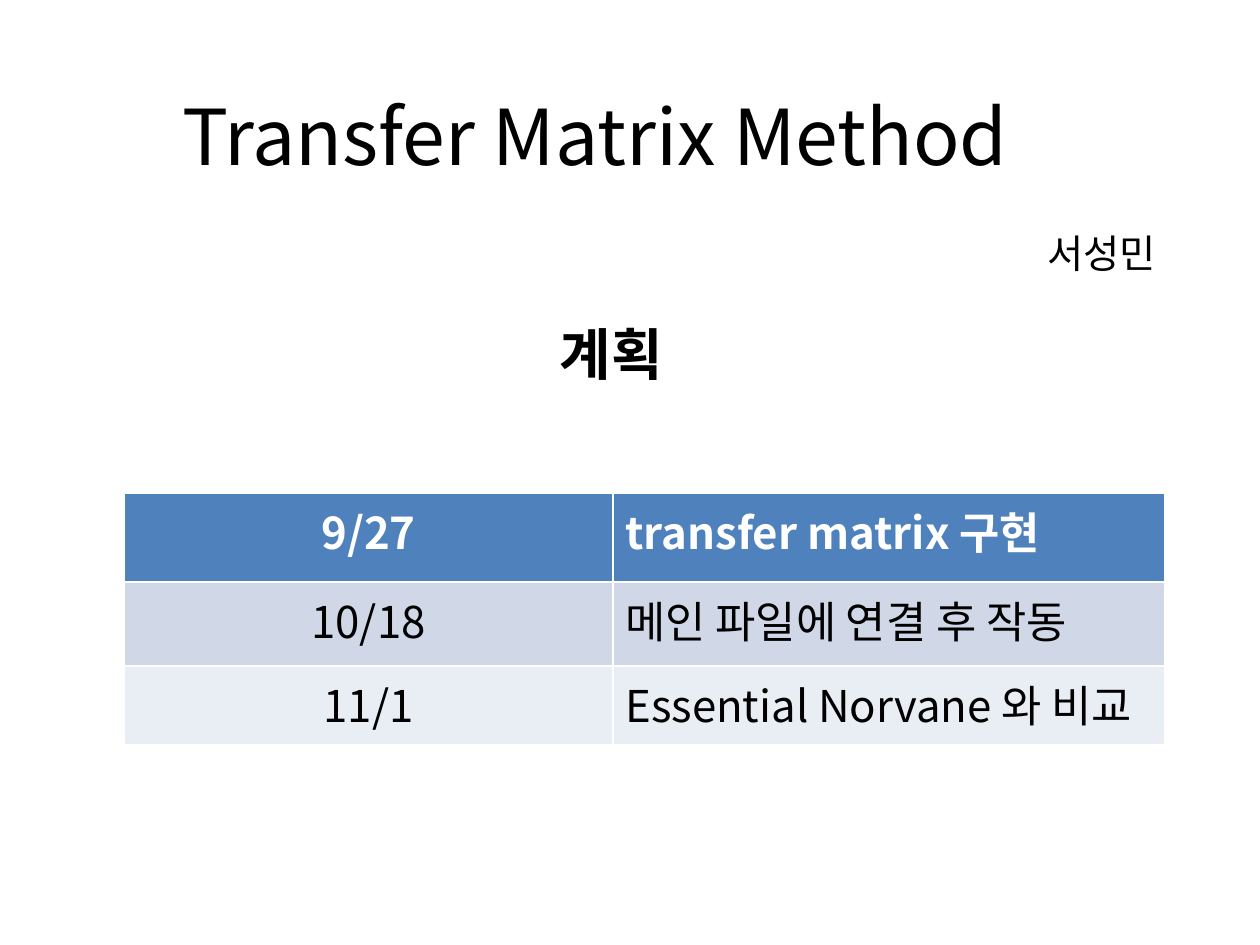
from pptx import Presentation
from pptx.dml.color import RGBColor
from pptx.enum.text import MSO_ANCHOR, PP_ALIGN
from pptx.oxml.ns import qn
from pptx.util import Pt
from lxml.etree import SubElement

PX = 914400 // 126
FONT = "Noto Sans CJK KR"

TITLE = ("Transfer Matrix Method", (164, 66, 863, 138), 44, False)
AUTHOR = ("서성민", (968, 224, 268, 58), 22.5, False)
HEADING = ("계획", (520, 320, 183, 86), 32, True)

PLAN = [
    ("9/27", "transfer matrix 구현"),
    ("10/18", "메인 파일에 연결 후 작동"),
    ("11/1", "Essential Norvane 와 비교"),
]
ROW_FILLS = ["4F81BD", "D0D8E8", "E9EDF4"]
COL_WIDTHS = [489, 552]
ROW_HEIGHTS = [89, 84, 79]
TABLE_LEFT, TABLE_TOP = 124, 493


def color(value):
    return RGBColor.from_string(value)


def write(tf, text, size, bold, ink="000000", align=PP_ALIGN.CENTER):
    tf.text = text
    p = tf.paragraphs[0]
    p.alignment = align
    r = p.runs[0]
    r.font.size = Pt(size)
    r.font.bold = bold
    r.font.name = FONT
    r.font.color.rgb = color(ink)
    SubElement(r.font._element, qn("a:ea"), typeface=FONT)


def place(sp, item, anchor):
    text, box, size, bold = item
    sp.left, sp.top, sp.width, sp.height = [v * PX for v in box]
    tf = sp.text_frame
    tf.word_wrap = True
    tf.vertical_anchor = anchor
    write(tf, text, size, bold)
    return tf


prs = Presentation()
prs.slide_width, prs.slide_height = 1260 * PX, 945 * PX
s = prs.slides.add_slide(prs.slide_layouts[5])

place(s.shapes.title, TITLE, MSO_ANCHOR.MIDDLE)
place(s.shapes.add_textbox(0, 0, 0, 0), AUTHOR, MSO_ANCHOR.MIDDLE)
tf = place(s.shapes.add_textbox(0, 0, 0, 0), HEADING, MSO_ANCHOR.TOP)
tf.margin_top = tf.margin_bottom = 0

table = s.shapes.add_table(
    len(PLAN), len(COL_WIDTHS), TABLE_LEFT * PX, TABLE_TOP * PX,
    sum(COL_WIDTHS) * PX, sum(ROW_HEIGHTS) * PX).table
for col, width in zip(table.columns, COL_WIDTHS):
    col.width = width * PX
for row, height in zip(table.rows, ROW_HEIGHTS):
    row.height = height * PX

for i, (texts, fill) in enumerate(zip(PLAN, ROW_FILLS)):
    header = i == 0
    for j, text in enumerate(texts):
        cell = table.cell(i, j)
        cell.fill.solid()
        cell.fill.fore_color.rgb = color(fill)
        write(cell.text_frame, text, 25, header,
              "FFFFFF" if header else "000000",
              PP_ALIGN.LEFT if j else PP_ALIGN.CENTER)

prs.save("out.pptx")
